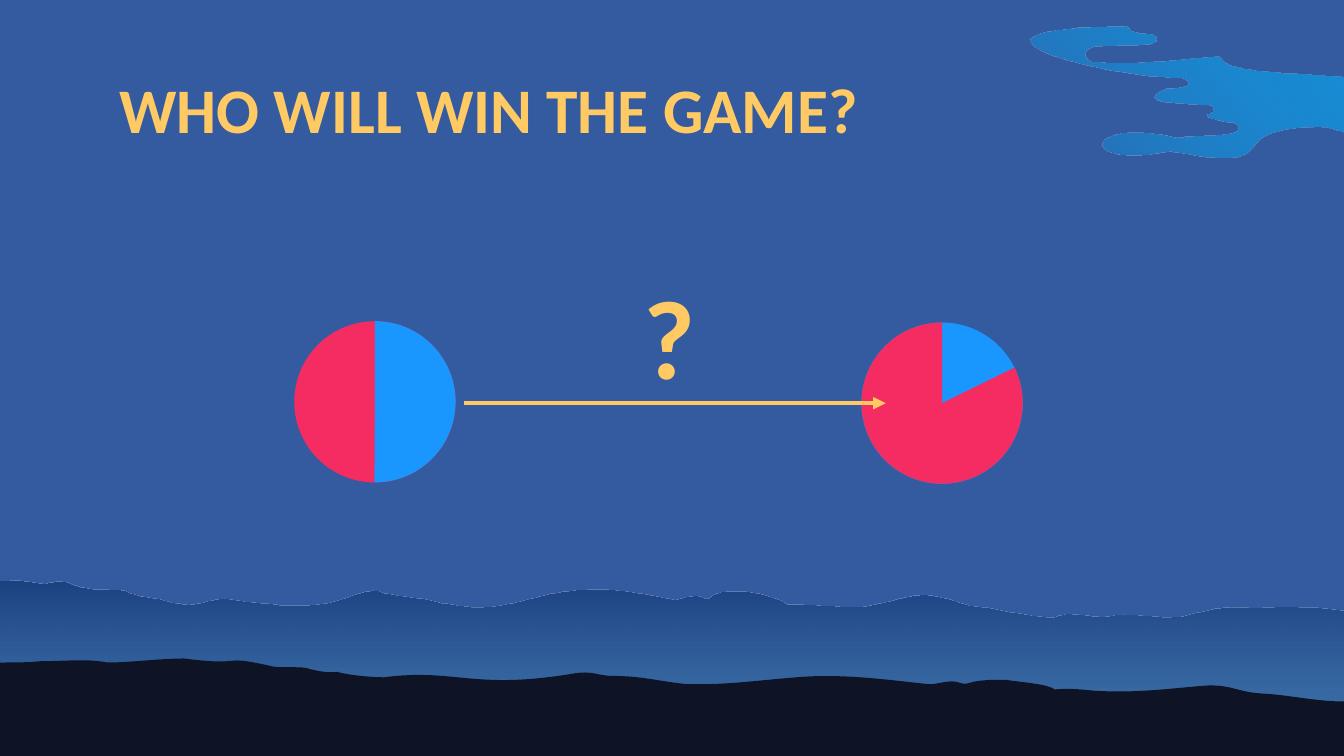
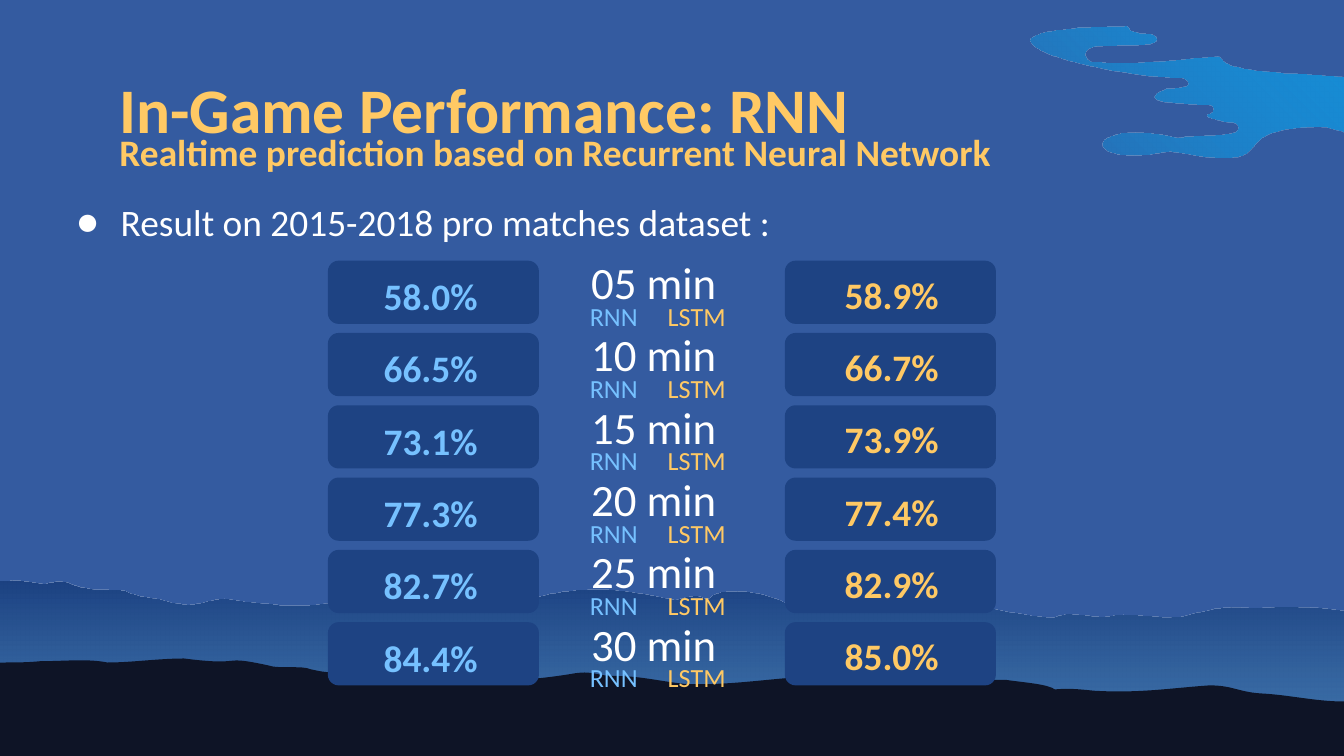
import pptx
import pptx.dml.color
import pptx.enum.shapes
import pptx.enum.text
import pptx.oxml
import pptx.oxml.ns
import pptx.util
from dataclasses import dataclass

Inches = pptx.util.Inches
Pt = pptx.util.Pt
MSO_SHAPE = pptx.enum.shapes.MSO_SHAPE
ANCHOR = pptx.enum.text.MSO_ANCHOR
ALIGN = pptx.enum.text.PP_ALIGN


@dataclass(frozen=True)
class Theme:
    font: str = "Calibri"
    background: str = "345BA0"
    ground: str = "0E1426"
    hill_top: str = "193D7E"
    hill_foot: str = "4884B6"
    cloud: str = "00B4FF"
    card: str = "1E4383"
    gold: str = "FFC964"
    sky: str = "76C1FF"
    white: str = "FFFFFF"
    red: str = "F52C62"
    blue: str = "1997FF"
    question_size: int = 60
    title_size: int = 34
    time_size: int = 24
    body_size: int = 20
    legend_size: int = 14


THEME = Theme()
SLIDE_W, SLIDE_H = 10, 10 * 9 / 16

# Slide content
QUESTION_TITLE = "WHO WILL WIN THE GAME?"
# left, top, base colour, wedge colour, wedge angles, mirrored
PIES = [
    (2.19, 2.39, THEME.red, THEME.blue, (53.78, 162), True),
    (6.41, 2.4, THEME.blue, THEME.red, (200.32, 162), False),
]
RNN_TITLE = "In-Game Performance: RNN"
RNN_SUBTITLE = "Realtime prediction based on Recurrent Neural Network"
RNN_BULLET = "Result on 2015-2018 pro matches dataset :"
# game time, RNN accuracy, LSTM accuracy
RESULTS = [
    ("05 min", "58.0%", "58.9%"),
    ("10 min", "66.5%", "66.7%"),
    ("15 min", "73.1%", "73.9%"),
    ("20 min", "77.3%", "77.4%"),
    ("25 min", "82.7%", "82.9%"),
    ("30 min", "84.4%", "85.0%"),
]

# Outlines: a start point, then Bezier segments (six numbers) or corners (two)
FRAME_FOOT = [(0, SLIDE_H), (SLIDE_W, SLIDE_H)]
HILLS = [
    (10, 4.55),
    (9.77, 4.52, 9.53, 4.51, 9.3, 4.53),
    (9.1, 4.5, 8.95, 4.55, 8.78, 4.59),
    (8.59, 4.61, 8.39, 4.55, 8.22, 4.59),
    (8.07, 4.6, 7.96, 4.54, 7.82, 4.6),
    (7.61, 4.59, 7.42, 4.53, 7.2, 4.51),
    (6.75, 4.36, 6.83, 4.46, 6.38, 4.52),
    (6.2, 4.52, 6, 4.5, 5.85, 4.5),
    (5.77, 4.43, 5.38, 4.35, 5.28, 4.45),
    (5.22, 4.49, 5.26, 4.39, 5.02, 4.47),
    (3.97, 4.23, 3.95, 4.63, 3.28, 4.49),
    (3.15, 4.45, 2.98, 4.45, 2.86, 4.42),
    (2.81, 4.39, 2.73, 4.4, 2.67, 4.42),
    (2.32, 4.56, 2.09, 4.51, 1.67, 4.46),
    (1.46, 4.47, 1.5, 4.55, 1.17, 4.46),
    (1.09, 4.45, 0.99, 4.44, 0.93, 4.4),
    (0.77, 4.39, 0.62, 4.4, 0.51, 4.34),
    (0.46, 4.32, 0.38, 4.34, 0.33, 4.35),
    (0.23, 4.34, 0.13, 4.31, 0.02, 4.33),
    (0.01, 4.33, 0.01, 4.33, 0, 4.33),
] + FRAME_FOOT
GROUND = [
    (10, 5.22),
    (9.79, 5.22, 9.59, 5.17, 9.38, 5.16),
    (9.22, 5.15, 9.17, 5.1, 9, 5.1),
    (8.71, 5.12, 8.48, 5.16, 8.14, 5.14),
    (8.04, 5.13, 7.96, 5.12, 7.85, 5.13),
    (7.79, 5.09, 7.63, 5.08, 7.49, 5.06),
    (7.18, 5.05, 7.22, 5.11, 7.14, 5.08),
    (7.06, 5.05, 6.97, 5.1, 6.9, 5.09),
    (6.61, 5.06, 6.27, 5.01, 5.93, 5.04),
    (5.66, 5.06, 5.4, 5.1, 5.1, 5.09),
    (4.91, 5.07, 4.77, 5.03, 4.57, 5.03),
    (4.44, 5.03, 4.42, 4.99, 4.28, 5.01),
    (3.52, 5.14, 3.39, 4.97, 2.86, 5.04),
    (2.74, 5.04, 2.58, 5.02, 2.51, 5),
    (2.43, 5.01, 2.36, 4.99, 2.31, 4.98),
    (2.25, 4.95, 2.07, 4.98, 1.99, 4.95),
    (1.62, 4.87, 1.84, 4.96, 1.37, 4.9),
    (1.18, 4.9, 0.98, 4.93, 0.8, 4.93),
    (0.65, 4.9, 0.49, 4.92, 0.3, 4.92),
    (0.21, 4.93, 0.1, 4.93, 0, 4.93),
] + FRAME_FOOT
CLOUD = [
    (8.37, 0.2),
    (6.88, 0.21, 8.13, 0.57, 8.8, 0.58),
    (8.81, 0.58, 8.81, 0.59, 8.82, 0.59),
    (8.9, 0.65, 8.75, 0.66, 8.69, 0.66),
    (8.69, 0.66, 8.68, 0.66, 8.68, 0.66),
    (8.44, 0.76, 8.75, 0.77, 9, 0.78),
    (9.04, 0.78, 9.04, 0.83, 9.01, 0.84),
    (8.93, 0.86, 9.03, 0.89, 9.18, 0.91),
    (9.19, 0.91, 9.2, 0.92, 9.21, 0.93),
    (9.26, 1.03, 8.86, 0.99, 8.77, 1.02),
    (8.77, 1.02, 8.77, 1.02, 8.76, 1.02),
    (8.63, 0.99, 8.53, 0.98, 8.45, 0.98),
    (8.13, 0.98, 8.12, 1.15, 8.44, 1.15),
    (8.51, 1.15, 8.6, 1.14, 8.7, 1.12),
    (8.71, 1.12, 8.71, 1.12, 8.72, 1.12),
    (8.9, 1.15, 9.03, 1.17, 9.11, 1.17),
    (9.45, 1.17, 9.16, 0.95, 9.83, 0.94),
    (9.92, 0.94, 10.15, 1.04, 10.29, 1.04),
    (10.35, 1.04, 10.39, 1.03, 10.39, 0.98),
    (10.4, 0.96, 10.38, 0.94, 10.36, 0.94),
    (10.36, 0.94, 10.35, 0.94, 10.35, 0.94),
    (10.33, 0.94, 10.31, 0.94, 10.29, 0.94),
    (10.23, 0.94, 10.18, 0.93, 10.23, 0.88),
    (10.24, 0.88, 10.24, 0.88, 10.25, 0.88),
    (10.33, 0.87, 10.39, 0.86, 10.31, 0.82),
    (10.31, 0.82, 10.31, 0.81, 10.31, 0.81),
    (10.24, 0.75, 9.92, 0.8, 10.03, 0.71),
    (10.03, 0.7, 10.03, 0.7, 10.03, 0.7),
    (10.45, 0.48, 9.2, 0.62, 9.09, 0.44),
    (9.08, 0.43, 9.07, 0.42, 9.06, 0.42),
    (8.82, 0.43, 8.58, 0.47, 8.34, 0.47),
    (8.26, 0.47, 8.19, 0.46, 8.12, 0.46),
    (8.11, 0.45, 8.1, 0.45, 8.09, 0.44),
    (7.97, 0.26, 8.63, 0.4, 8.61, 0.29),
    (8.61, 0.28, 8.6, 0.27, 8.58, 0.26),
    (8.51, 0.24, 8.44, 0.27, 8.4, 0.21),
    (8.39, 0.2, 8.38, 0.2, 8.37, 0.2),
]
DOWNWARD = '<a:lin ang="5400000" scaled="0"/>'
FROM_TOP_RIGHT = '<a:path path="circle"><a:fillToRect l="100000" b="100000"/></a:path>'


def rgb(color):
    return pptx.dml.color.RGBColor.from_string(color)


def xml(tag, body="", **attrs):
    attr_text = "".join(f' {k}="{v}"' for k, v in attrs.items())
    return pptx.oxml.parse_xml(
        f'<a:{tag} {pptx.oxml.ns.nsdecls("a")}{attr_text}>{body}</a:{tag}>')


def paint(sp, color):
    sp.shadow.inherit = False
    sp.fill.solid()
    sp.fill.fore_color.rgb = rgb(color)
    sp.line.fill.background()
    return sp


def paint_gradient(sp, stops, direction):
    """Fill with (colour, opacity in percent) stops, spread evenly."""
    paint(sp, stops[0][0])
    body = "".join(
        f'<a:gs pos="{i * 100000 // (len(stops) - 1)}"><a:srgbClr val="{color}">'
        f'<a:alpha val="{opacity * 1000}"/></a:srgbClr></a:gs>'
        for i, (color, opacity) in enumerate(stops))
    solid = sp._element.spPr.find(pptx.oxml.ns.qn("a:solidFill"))
    solid.getparent().replace(
        solid, xml("gradFill", f"<a:gsLst>{body}</a:gsLst>{direction}", rotWithShape=1))


def add_outline(shapes, outline):
    """Build a freeform through all knots, then bend each six-number segment."""
    points = [(Inches(seg[i]), Inches(seg[i + 1]))
              for seg in outline for i in range(0, len(seg), 2)]
    builder = shapes.build_freeform(*points[0])
    builder.add_line_segments(points[1:], close=True)
    sp = builder.convert_to_shape()
    lines = iter(list(sp._element.iter(pptx.oxml.ns.qn("a:lnTo"))))
    for seg in outline[1:]:
        knots = [next(lines) for _ in range(len(seg) // 2)]
        if len(knots) == 3:
            curve = xml("cubicBezTo")
            knots[0].addprevious(curve)
            for knot in knots:
                curve.append(knot[0])
                knot.getparent().remove(knot)
    return sp


def add_shape(shapes, kind, box, color, adjustments=()):
    sp = paint(shapes.add_shape(kind, *map(Inches, box)), color)
    for i, value in enumerate(adjustments):
        sp.adjustments[i] = value
    return sp


def add_text(slide, box, runs, size, bold=False, anchor=ANCHOR.MIDDLE, align=None):
    """Add one paragraph made of (text, colour) runs and return it."""
    tf = slide.shapes.add_textbox(*map(Inches, box)).text_frame
    tf.word_wrap = True
    tf.vertical_anchor = anchor
    tf.margin_left = tf.margin_right = tf.margin_top = tf.margin_bottom = Inches(0.1)
    p = tf.paragraphs[0]
    p.alignment = align
    for text, color in runs:
        r = p.add_run()
        r.text = text
        r.font.name = THEME.font
        r.font.size = Pt(size)
        r.font.bold = bold
        r.font.color.rgb = rgb(color)
    return p


def add_scenery(layout, slide):
    """Draw the night landscape on a slide and move it to the shared layout."""
    layout.background.fill.solid()
    layout.background.fill.fore_color.rgb = rgb(THEME.background)
    group = slide.shapes.add_group_shape()
    scene = group.shapes
    paint_gradient(add_outline(scene, HILLS),
                   [(THEME.hill_top, 100), (THEME.hill_foot, 62)], DOWNWARD)
    paint(add_outline(scene, GROUND), THEME.ground)
    paint_gradient(add_outline(scene, CLOUD),
                   [(THEME.cloud, 58), (THEME.background, 100)], FROM_TOP_RIGHT)
    layout.shapes._spTree.append(group._element)


def add_title(slide, title, width):
    add_text(slide, (0.79, 0.42, width, 0.65), [(title, THEME.gold)],
             THEME.title_size, bold=True, anchor=ANCHOR.TOP)


def add_arrow(slide, x1, y1, x2, y2):
    line = slide.shapes.add_connector(
        pptx.enum.shapes.MSO_CONNECTOR.STRAIGHT, *map(Inches, (x1, y1, x2, y2)))
    line.line.color.rgb = rgb(THEME.gold)
    line.line.width = Pt(2.25)
    line.line._get_or_add_ln().append(xml("tailEnd", type="triangle"))
    line._element.spPr.append(xml("effectLst"))


def build_question(slide):
    add_title(slide, QUESTION_TITLE, 6.32)
    for left, top, base, wedge, angles, mirrored in PIES:
        group = slide.shapes.add_group_shape().shapes
        box = (left, top, 1.2, 1.2)
        for sp in (add_shape(group, MSO_SHAPE.OVAL, box, base),
                   add_shape(group, MSO_SHAPE.PIE, box, wedge, angles)):
            if mirrored:
                sp._element.spPr.xfrm.set("flipH", "1")
    add_arrow(slide, 3.45, 3, 6.59, 3)
    add_text(slide, (4.69, 1.89, 0.41, 0.65), [("?", THEME.gold)],
             THEME.question_size, bold=True, anchor=ANCHOR.TOP)


def build_results(slide):
    add_title(slide, RNN_TITLE, 9.08)
    p = add_text(slide, (-0.2, 1.39, 9.13, 0.52), [(RNN_BULLET, THEME.white)], THEME.body_size)
    pPr = p._p.get_or_add_pPr()
    pPr.set("marL", str(Inches(1)))
    pPr.set("indent", str(Inches(-0.33)))
    pPr.append(xml("buClr", f'<a:srgbClr val="{THEME.white}"/>'))
    pPr.append(xml("buFont", typeface=THEME.font))
    pPr.append(xml("buChar", char="●"))
    add_text(slide, (0.79, 0.91, 8.55, 0.43), [(RNN_SUBTITLE, THEME.gold)],
             THEME.body_size, bold=True)

    first_top, last_top = 1.94, 4.63
    pitch = (last_top - first_top) / (len(RESULTS) - 1)
    for i, (time, rnn, lstm) in enumerate(RESULTS):
        top = first_top + i * pitch
        for card_left in (2.44, 5.84):
            add_shape(slide.shapes, MSO_SHAPE.ROUNDED_RECTANGLE,
                      (card_left, top, 1.57, 0.47), THEME.card, [0.17])
        add_text(slide, (4.3, top - 0.05, 1.23, 0.41), [(time, THEME.white)], THEME.time_size)
        legend = add_text(slide, (4.29, top + 0.18, 2.27, 0.46),
                          [("RNN\t", THEME.sky), ("LSTM", THEME.gold)], THEME.legend_size)
        legend._p.get_or_add_pPr().append(
            xml("tabLst", f'<a:tab pos="{Inches(0.58)}" algn="l"/>'))
        for left, drop, value, color in ((2.46, 0.03, rnn, THEME.sky),
                                         (5.89, 0.02, lstm, THEME.gold)):
            add_text(slide, (left, top + drop, 1.49, 0.46), [(value, color)],
                     THEME.body_size, bold=True, align=ALIGN.CENTER)


def main():
    prs = pptx.Presentation()
    prs.slide_width, prs.slide_height = Inches(SLIDE_W), Inches(SLIDE_H)
    layout = prs.slide_layouts[6]
    question, results = (prs.slides.add_slide(layout) for _ in range(2))
    add_scenery(layout, question)
    build_question(question)
    build_results(results)
    prs.save("out.pptx")


if __name__ == "__main__":
    main()
